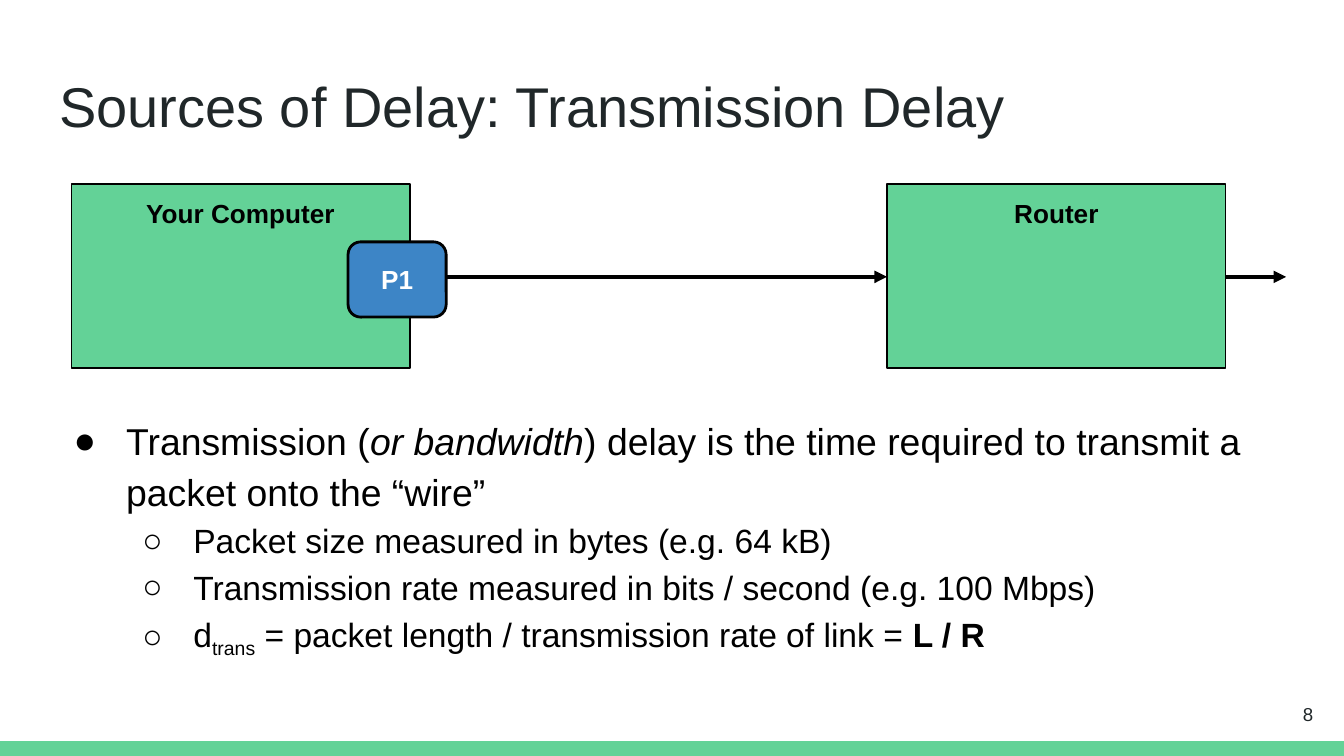
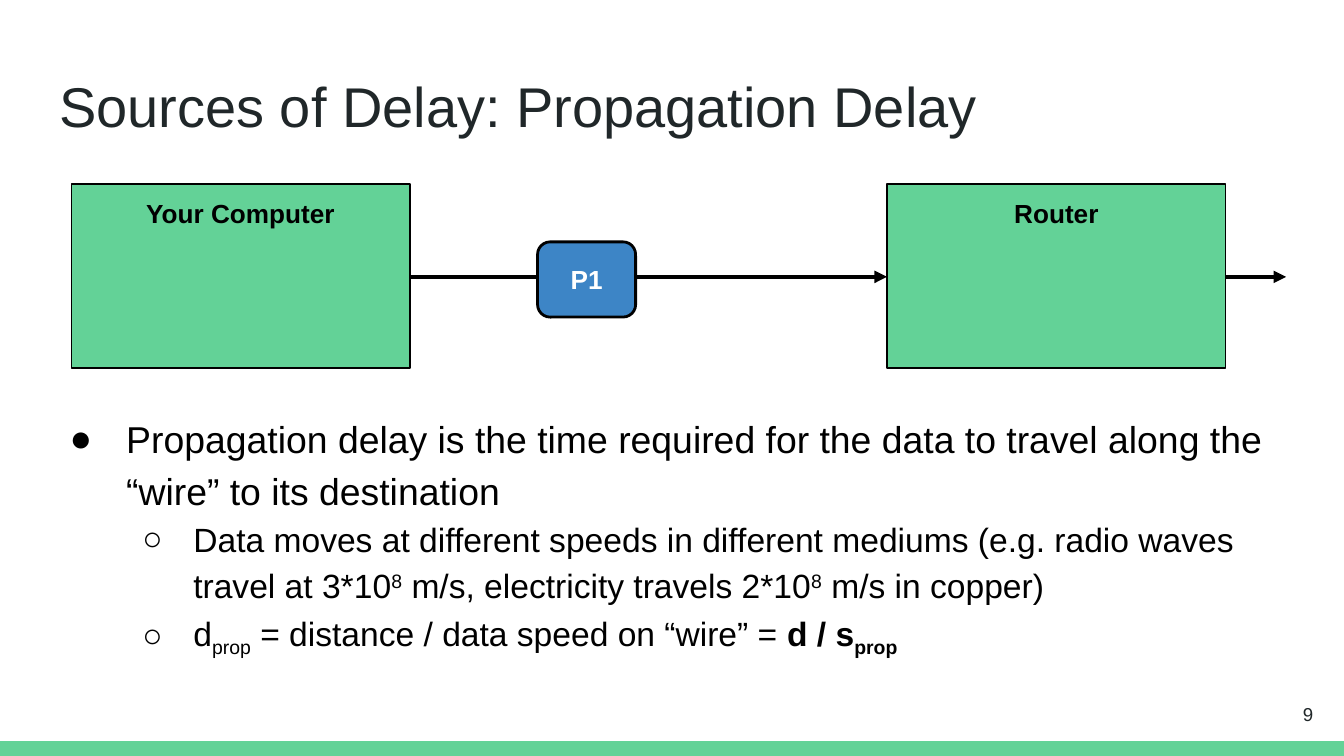
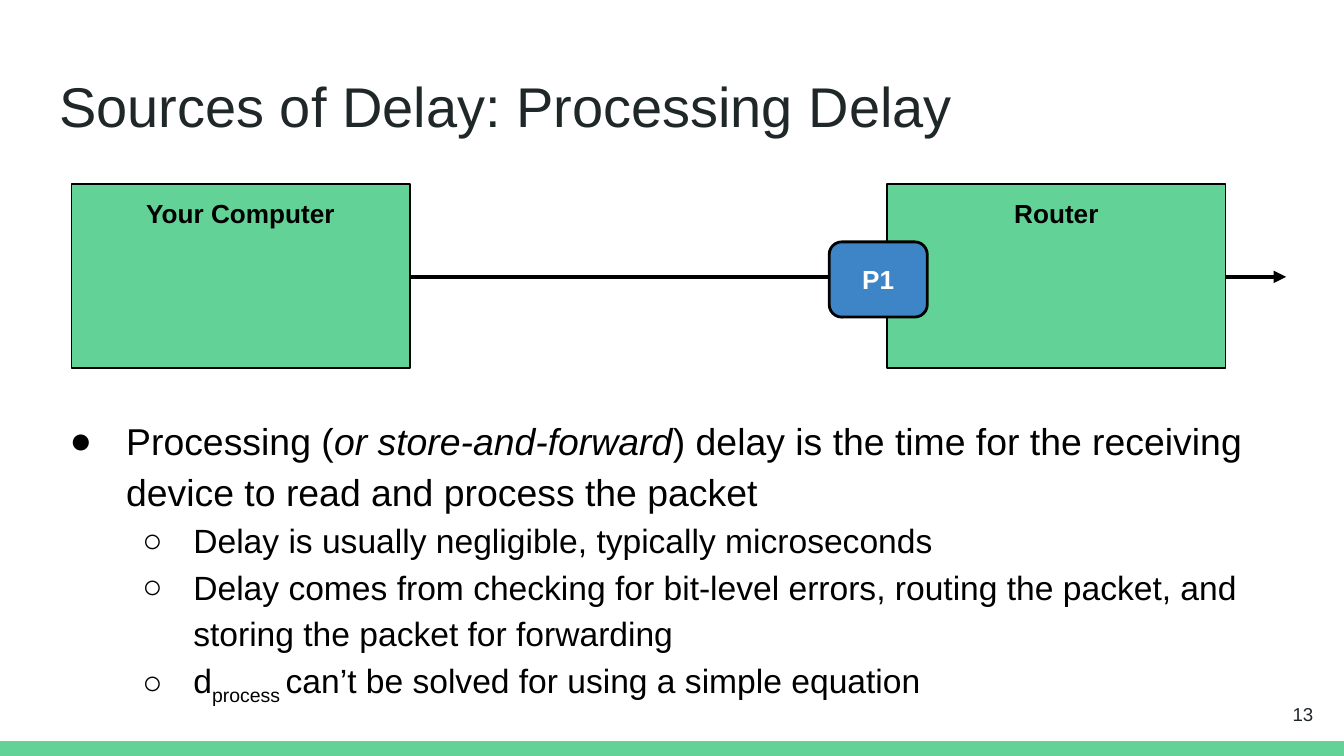
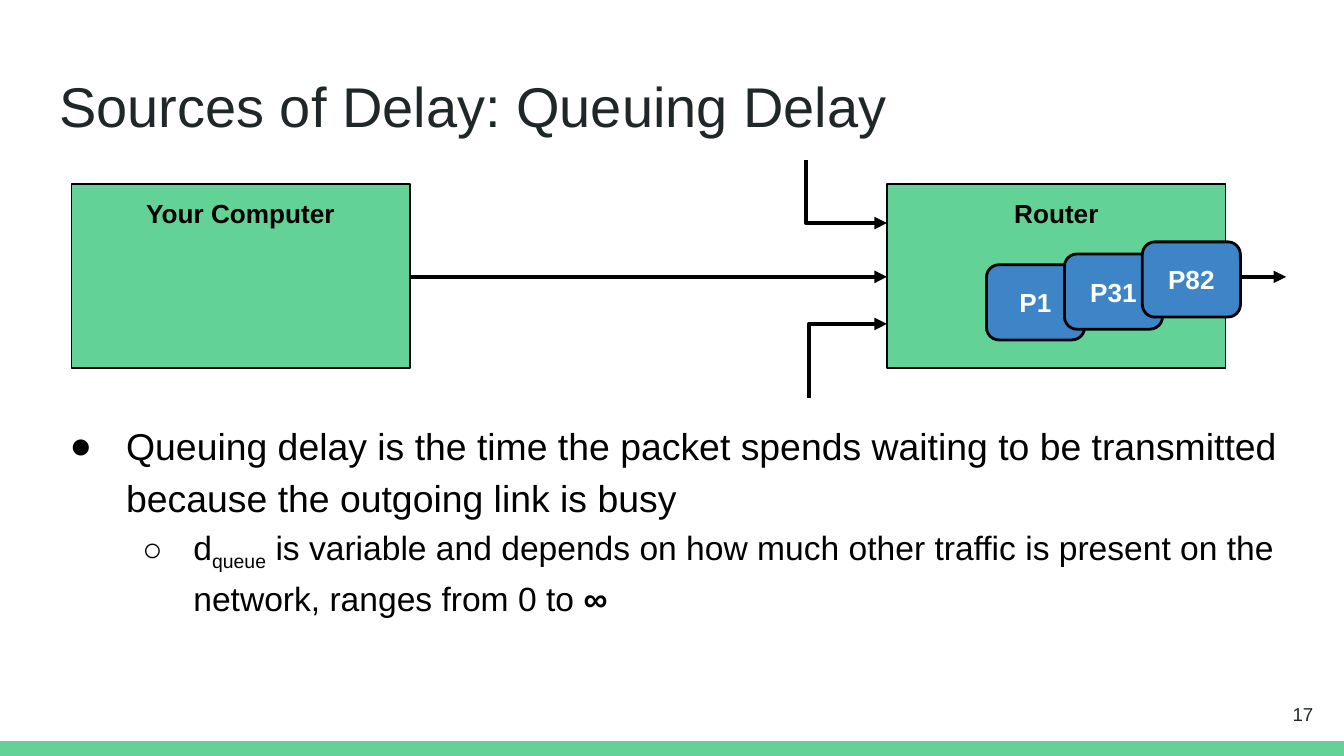
from dataclasses import dataclass

from lxml.etree import SubElement
from pptx import Presentation
from pptx.dml.color import RGBColor
from pptx.enum.shapes import MSO_CONNECTOR as Link, MSO_SHAPE as Shape
from pptx.enum.text import MSO_ANCHOR as Anchor, MSO_AUTO_SIZE as AutoSize, PP_ALIGN as Align
from pptx.oxml.ns import qn
from pptx.util import Inches, Pt


@dataclass(frozen=True)
class Theme:
    font: str = "Arial"
    green: str = "63D297"
    blue: str = "3D85C6"
    black: str = "000000"
    white: str = "FFFFFF"
    ink: str = "202729"
    title_size: int = 30
    body_sizes: tuple = (20, 18)
    label_size: int = 14
    number_size: int = 10


THEME = Theme()

# Run styles
ITALIC, BOLD = {"italic": True}, {"bold": True}
SUB, SUPER = {"baseline": -25}, {"baseline": 30}
BOLD_SUB = {**BOLD, **SUB}

# Each point is (level, runs); a run is (text, style).
SLIDES = [
    {
        "title": "Sources of Delay: Transmission Delay",
        "number": 8,
        "body_top": 2.96,
        "bullet_hang": 0.39,
        "packets": [("P1", 2.59, 1.8)],
        "points": [
            (0, [("Transmission (", {}), ("or bandwidth", ITALIC),
                 (") delay is the time required to transmit a packet onto the “wire”", {})]),
            (1, [("Packet size measured in bytes (e.g. 64 kB)", {})]),
            (1, [("Transmission rate measured in bits / second (e.g. 100 Mbps)", {})]),
            (1, [("d", {}), ("trans", SUB),
                 (" = packet length / transmission rate of link = ", {}), ("L / R", BOLD)]),
        ],
    },
    {
        "title": "Sources of Delay: Propagation Delay",
        "number": 9,
        "body_top": 2.95,
        "packets": [("P1", 4, 1.8)],
        "points": [
            (0, [("Propagation delay is the time required for the data to travel along "
                  "the “wire” to its destination", {})]),
            (1, [("Data moves at different speeds in different mediums (e.g. radio waves "
                  "travel at 3*10", {}), ("8", SUPER),
                 (" m/s, electricity travels 2*10", {}), ("8", SUPER),
                 (" m/s in copper)", {})]),
            (1, [("d", {}), ("prop", SUB), (" = distance / data speed on “wire” = ", {}),
                 ("d / s", BOLD), ("prop", BOLD_SUB)]),
        ],
    },
    {
        "title": "Sources of Delay: Processing Delay",
        "number": 13,
        "body_top": 2.96,
        "packets": [("P1", 6.17, 1.8)],
        "points": [
            (0, [("Processing (", {}), ("or store-and-forward", ITALIC),
                 (") delay is the time for the receiving device to read and process "
                  "the packet", {})]),
            (1, [("Delay is usually negligible, typically microseconds", {})]),
            (1, [("Delay comes from checking for bit-level errors, routing the packet, "
                  "and storing the packet for forwarding", {})]),
            (1, [("d", {}), ("process ", SUB),
                 ("can’t be solved for using a simple equation", {})]),
        ],
    },
    {
        "title": "Sources of Delay: Queuing Delay",
        "number": 17,
        "body_top": 3,
        "packets": [("P1", 7.34, 1.97), ("P31", 7.92, 1.89), ("P82", 8.5, 1.8)],
        # Other traffic: (height at the router, starting point)
        "side_links": [(2.41, (6.02, 2.96)), (1.66, (6, 1.19))],
        "points": [
            (0, [("Queuing delay is the time the packet spends waiting to be transmitted "
                  "because the outgoing link is busy", {})]),
            (1, [("d", {}), ("queue", SUB),
                 (" is variable and depends on how much other traffic is present on the "
                  "network, ranges from 0 to ", {}), ("∞", BOLD)]),
        ],
    },
]

SLIDE_W = 10
SLIDE_H = SLIDE_W * 9 / 16
BAND_H = 0.11
MARGIN = 0.34
CONTENT_W = SLIDE_W - 2 * MARGIN
BODY_BOTTOM = 5
NODE_TOP, NODE_W, NODE_H = 1.37, 2.52, 1.37
COMPUTER_X, ROUTER_X = 0.53, 6.6
WIRE_Y = 2.06
EXIT_X = 9.57
PACKET_W, PACKET_H = 0.73, 0.56
BULLETS = "●○"
LEVEL_INDENTS = (0.5, 1)
BULLET_HANGS = (0.42, 0.38)


def rgb(code):
    return RGBColor.from_string(code)


def add_run(paragraph, text, size, color, bold=False, italic=False, baseline=0):
    run = paragraph.add_run()
    run.text = text
    font = run.font
    font.name, font.size, font.color.rgb = THEME.font, Pt(size), rgb(color)
    font.bold, font.italic = bold, italic
    if baseline:
        run._r.get_or_add_rPr().set("baseline", str(baseline * 1000))


def prepare_frame(shape, anchor=Anchor.TOP):
    frame = shape.text_frame
    frame.word_wrap, frame.auto_size = True, AutoSize.NONE
    frame.vertical_anchor = anchor
    frame.margin_left = frame.margin_right = Inches(0.1)
    frame.margin_top = frame.margin_bottom = Inches(0.1)
    return frame


def add_block(slide, kind, box, fill, line_width=None):
    block = slide.shapes.add_shape(kind, *map(Inches, box))
    block.shadow.inherit = False
    block.fill.solid()
    block.fill.fore_color.rgb = rgb(fill)
    if line_width:
        block.line.color.rgb = rgb(THEME.black)
        block.line.width = Pt(line_width)
    else:
        block.line.fill.background()
    return block


def label(block, text, color, anchor):
    paragraph = prepare_frame(block, anchor).paragraphs[0]
    paragraph.alignment = Align.CENTER
    add_run(paragraph, text, THEME.label_size, color, bold=True)


def add_node(slide, name, left):
    node = add_block(slide, Shape.RECTANGLE, (left, NODE_TOP, NODE_W, NODE_H), THEME.green, 0.75)
    label(node, name, THEME.black, Anchor.TOP)


def add_packet(slide, name, left, top):
    box = (left, top, PACKET_W, PACKET_H)
    packet = add_block(slide, Shape.ROUNDED_RECTANGLE, box, THEME.blue, 1.5)
    label(packet, name, THEME.white, Anchor.MIDDLE)


def add_arrow(slide, kind, start, end, arrow_end):
    arrow = slide.shapes.add_connector(kind, *map(Inches, start + end))
    arrow.line.color.rgb = rgb(THEME.black)
    arrow.line.width = Pt(2.25)
    SubElement(arrow.line._get_or_add_ln(), qn(f"a:{arrow_end}"), type="triangle")
    SubElement(arrow.element.spPr, qn("a:effectLst"))
    return arrow


def add_side_link(slide, router_y, source):
    """Elbow from a source to the router, turning directly at the source's x."""
    link = add_arrow(slide, Link.ELBOW, (ROUTER_X, router_y), source, "headEnd")
    link_adjustments = link.element.spPr.find(f"{qn('a:prstGeom')}/{qn('a:avLst')}")
    SubElement(link_adjustments, qn("a:gd"), name="adj1", fmla="val 100000")


def add_title(slide, text):
    title = slide.shapes.title
    title.left, title.top = Inches(MARGIN), Inches(0.43)
    title.width, title.height = Inches(CONTENT_W), Inches(0.68)
    paragraph = prepare_frame(title).paragraphs[0]
    paragraph.alignment = Align.LEFT
    add_run(paragraph, text, THEME.title_size, THEME.ink)


def add_bullet(paragraph, level, hang):
    paragraph.level = level
    paragraph.line_spacing = 1.15
    props = paragraph._p.get_or_add_pPr()
    props.set("marL", str(Inches(LEVEL_INDENTS[level])))
    props.set("indent", str(-Inches(hang)))
    SubElement(SubElement(props, qn("a:buClr")), qn("a:srgbClr"), val=THEME.black)
    SubElement(props, qn("a:buFont"), typeface=THEME.font)
    SubElement(props, qn("a:buChar"), char=BULLETS[level])


def add_points(slide, points, top, first_hang):
    box = (MARGIN, top, CONTENT_W, BODY_BOTTOM - top)
    frame = prepare_frame(slide.shapes.add_textbox(*map(Inches, box)))
    hangs = (first_hang, BULLET_HANGS[1])
    for i, (level, runs) in enumerate(points):
        paragraph = frame.add_paragraph() if i else frame.paragraphs[0]
        add_bullet(paragraph, level, hangs[level])
        for text, style in runs:
            add_run(paragraph, text, THEME.body_sizes[level], THEME.black, **style)


def add_number(slide, number):
    box = slide.shapes.add_textbox(*map(Inches, (9.27, 5.1, 0.6, 0.43)))
    paragraph = prepare_frame(box, Anchor.MIDDLE).paragraphs[0]
    paragraph.alignment = Align.RIGHT
    add_run(paragraph, str(number), THEME.number_size, THEME.ink)


def add_network(slide, packets, side_links):
    add_node(slide, "Router", ROUTER_X)
    add_arrow(slide, Link.STRAIGHT, (ROUTER_X + NODE_W, WIRE_Y), (EXIT_X, WIRE_Y), "tailEnd")
    add_node(slide, "Your Computer", COMPUTER_X)
    add_arrow(slide, Link.STRAIGHT, (COMPUTER_X + NODE_W, WIRE_Y), (ROUTER_X, WIRE_Y), "tailEnd")
    for packet in packets:
        add_packet(slide, *packet)
    for link in side_links:
        add_side_link(slide, *link)


def move_band_to_layout(slide, layout):
    """Draw the bottom band once, on the layout that all slides share."""
    for placeholder in list(layout.placeholders)[1:]:
        layout.shapes.element.remove(placeholder.element)
    band_box = (0, SLIDE_H - BAND_H, SLIDE_W, BAND_H)
    band = add_block(slide, Shape.RECTANGLE, band_box, THEME.green)
    layout.shapes.element.append(band.element)


def main():
    deck = Presentation()
    deck.slide_width, deck.slide_height = Inches(SLIDE_W), Inches(SLIDE_H)
    layout = deck.slide_layouts.get_by_name("Title Only")
    for i, content in enumerate(SLIDES):
        slide = deck.slides.add_slide(layout)
        if i == 0:
            move_band_to_layout(slide, layout)
        add_title(slide, content["title"])
        add_points(slide, content["points"], content["body_top"],
                   content.get("bullet_hang", BULLET_HANGS[0]))
        add_number(slide, content["number"])
        add_network(slide, content["packets"], content.get("side_links", []))
    deck.save("out.pptx")


if __name__ == "__main__":
    main()
